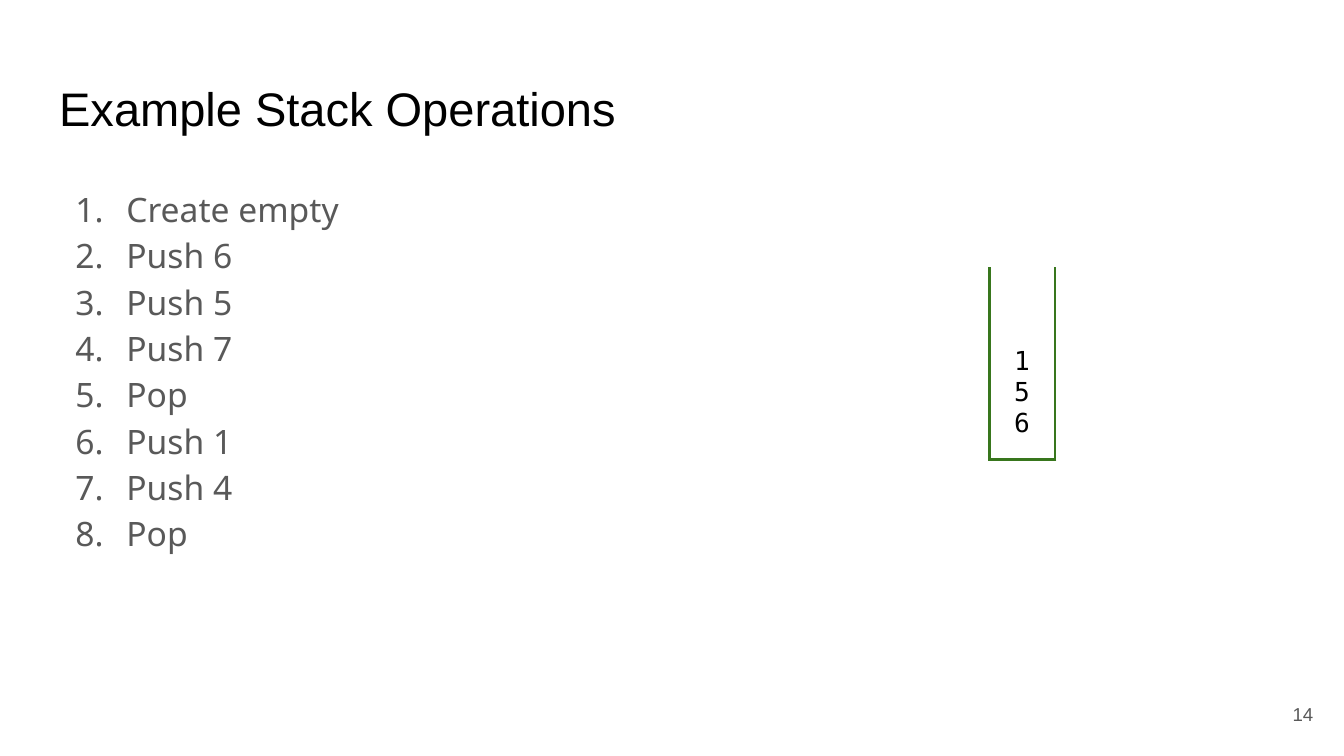
import pptx
import pptx.util
import pptx.dml.color
import pptx.enum.shapes
import pptx.enum.text
from lxml import etree

Inches, Pt = pptx.util.Inches, pptx.util.Pt
RGBColor = pptx.dml.color.RGBColor
ALIGN, ANCHOR = pptx.enum.text.PP_ALIGN, pptx.enum.text.MSO_ANCHOR
NONE = pptx.enum.text.MSO_AUTO_SIZE.NONE

BLACK = RGBColor(0x00, 0x00, 0x00)
GRAY = RGBColor(0x59, 0x59, 0x59)
GREEN = RGBColor(0x38, 0x76, 0x1D)

STEPS = ["Create empty", "Push 6", "Push 5", "Push 7",
         "Pop", "Push 1", "Push 4", "Pop"]
ITEMS = ["1", "5", "6"]

TITLE = {"name": "Arial", "size": Pt(25.2), "color": BLACK}
BODY = {"name": "Noto Sans", "size": Pt(18), "color": GRAY}
NUMBER = {"name": "Arial", "size": Pt(10), "color": GRAY}
MONO = {"name": "DejaVu Sans Mono", "size": Pt(14), "color": BLACK}


def style(font, form):
    """Set font attributes from a format dict."""
    for key, value in form.items():
        if key == "color":
            font.color.rgb = value
        else:
            setattr(font, key, value)


def write(shape, box, lines, form, align=ALIGN.LEFT, anchor=ANCHOR.TOP, top=0.1):
    """Place a text shape in a box and fill it, one paragraph per line."""
    shape.left, shape.top, shape.width, shape.height = map(Inches, box)
    frame = shape.text_frame
    pad = Inches(0.1)
    layout = {"word_wrap": True, "auto_size": NONE, "vertical_anchor": anchor,
              "margin_left": pad, "margin_right": pad,
              "margin_top": Inches(top), "margin_bottom": pad}
    for key, value in layout.items():
        setattr(frame, key, value)
    frame.text = "\n".join(lines)
    for para in frame.paragraphs:
        para.alignment = align
        para.space_before = para.space_after = Pt(0)
        for run in para.runs:
            style(run.font, form)
    return frame


def number(para):
    """Turn a paragraph into a numbered list item."""
    para.line_spacing = 1.15
    props = para._p.get_or_add_pPr()
    props.set("marL", str(Inches(0.5)))
    props.set("indent", str(Inches(-0.38)))
    color = etree.SubElement(props, pptx.oxml.ns.qn("a:buClr"))
    etree.SubElement(color, pptx.oxml.ns.qn("a:srgbClr"), val=str(GRAY))
    etree.SubElement(props, pptx.oxml.ns.qn("a:buFont"), typeface="Noto Sans")
    etree.SubElement(props, pptx.oxml.ns.qn("a:buAutoNum"), type="arabicPeriod")


def wall(group, start, end):
    """Draw one side of the stack."""
    line = group.shapes.add_connector(
        pptx.enum.shapes.MSO_CONNECTOR.STRAIGHT, *map(Inches, start + end))
    line.line.color.rgb = GREEN
    line.line.width = Pt(1.5)
    etree.SubElement(line._element.spPr, pptx.oxml.ns.qn("a:effectLst"))


def stack(slide, box, items):
    """Draw an open-topped stack with its items resting at the bottom."""
    left, top, width, height = box
    right, base = left + width, top + height
    group = slide.shapes.add_group_shape()
    for x in (left, right):
        wall(group, (x, top), (x, base))
    text = group.shapes.add_textbox(*map(Inches, box))
    write(text, box, ["\v".join(items)], MONO, ALIGN.CENTER, top=0.57)
    wall(group, (right + 0.01, base + 0.01), (left - 0.01, base + 0.01))


def build(deck):
    """Build the slide of stack operations."""
    slide = deck.slides.add_slide(deck.slide_layouts[1])
    write(slide.shapes.title, (0.34, 0.49, 9.32, 0.63),
          ["Example Stack Operations"], TITLE)
    body = write(slide.placeholders[1], (0.34, 1.26, 9.32, 3.74), STEPS, BODY)
    for para in body.paragraphs:
        number(para)
    box = (9.27, 5.1, 0.6, 0.43)
    page = slide.shapes.add_textbox(*map(Inches, box))
    write(page, box, ["14"], NUMBER, ALIGN.RIGHT, ANCHOR.MIDDLE)
    stack(slide, (7.36, 1.99, 0.49, 1.42), ITEMS)


deck = pptx.Presentation()
deck.slide_width = Inches(10)
deck.slide_height = deck.slide_width * 9 // 16
build(deck)
deck.save("out.pptx")
